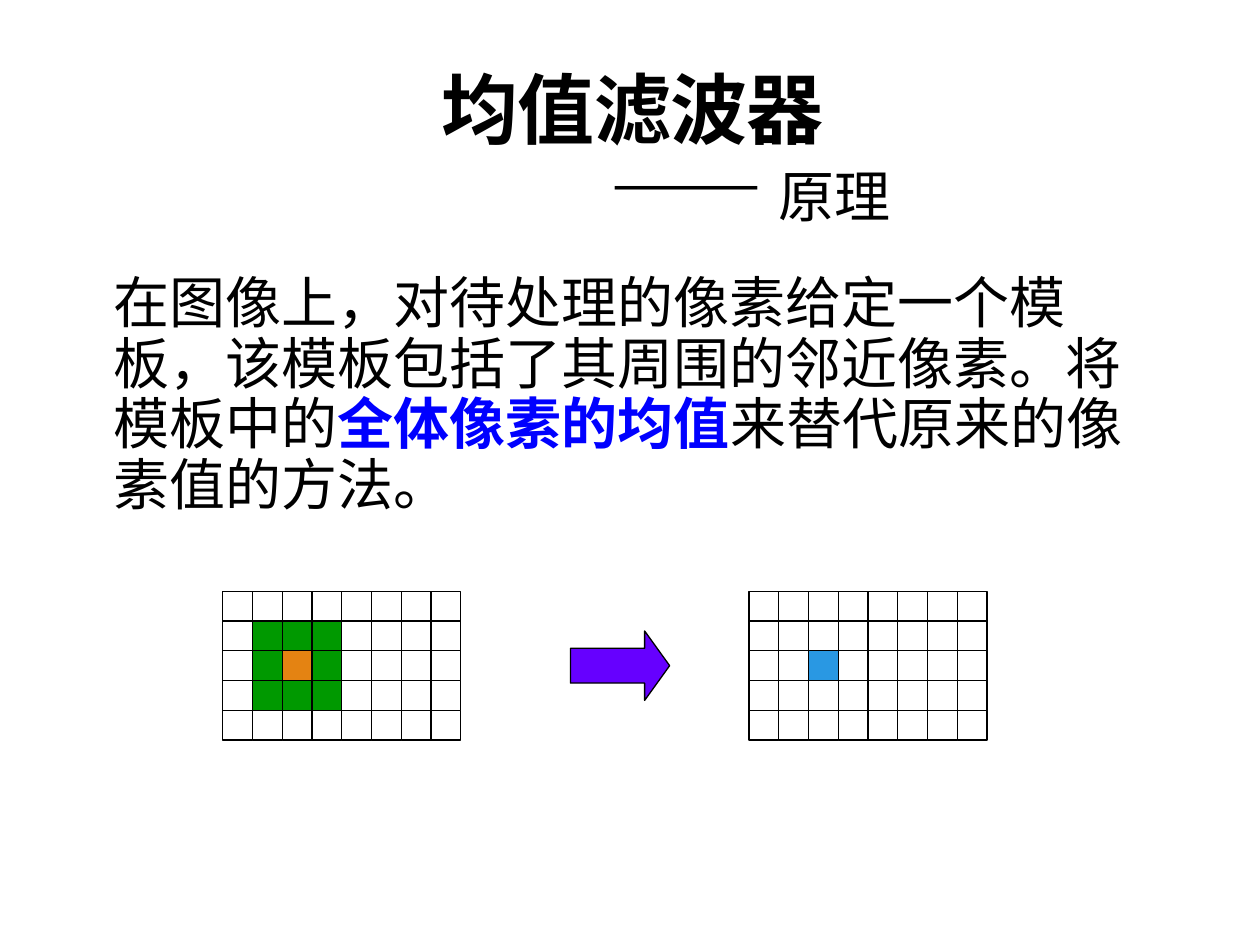
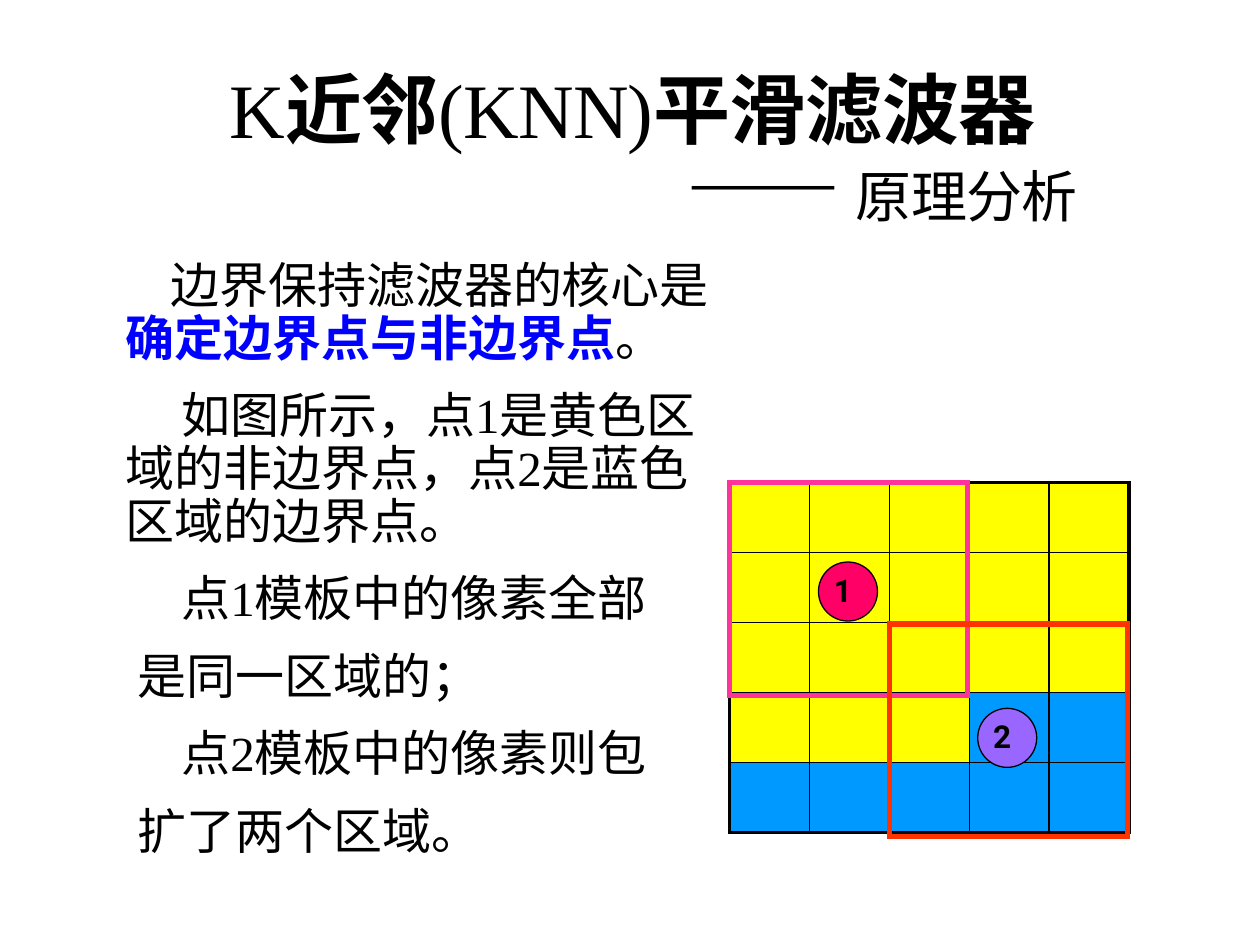
import itertools

import lxml.etree
import pptx
import pptx.dml.color
import pptx.enum.shapes
import pptx.enum.text
import pptx.oxml.ns
import pptx.util

Cm, Pt = pptx.util.Cm, pptx.util.Pt
RGB = pptx.dml.color.RGBColor
SHAPE = pptx.enum.shapes.MSO_SHAPE
ALIGN = pptx.enum.text.PP_ALIGN
ANCHOR = pptx.enum.text.MSO_ANCHOR
qualified = pptx.oxml.ns.qn

BLACK = RGB(0x00, 0x00, 0x00)
WHITE = RGB(0xFF, 0xFF, 0xFF)
KEY_BLUE = RGB(0x00, 0x00, 0xFF)
GREEN = RGB(0x00, 0x99, 0x00)
ORANGE = RGB(0xE4, 0x83, 0x12)
RESULT_BLUE = RGB(0x29, 0x98, 0xE3)
ARROW_PURPLE = RGB(0x66, 0x00, 0xFF)
YELLOW = RGB(0xFF, 0xFF, 0x00)
SKY = RGB(0x00, 0x99, 0xFF)
PINK = RGB(0xFF, 0x00, 0x66)
LILAC = RGB(0x99, 0x66, 0xFF)
MAGENTA = RGB(0xFF, 0x33, 0x99)
RED = RGB(0xFF, 0x33, 0x00)

# Run formats
SERIF = {"name": "Times New Roman"}
TITLE = {**SERIF, "size": Pt(44), "bold": True}
TITLE_LATIN = {**TITLE, "bold": False}
SUBTITLE = {**SERIF, "size": Pt(32), "bold": False}
BODY_LARGE = {**SERIF, "size": Pt(32)}
BODY_SMALL = {**SERIF, "size": Pt(28)}
KEY = {"bold": True, "color": KEY_BLUE}
MARK = {"name": "Roboto", "size": Pt(18), "bold": True}

# Boxes are left, top, width, height in cm
TITLE_BOX = (2.28, 0.79, 20.95, 4.04)
BODY_INSETS = (0, 0.13, 0, 0.13)
TEXT_INSETS = (0.25, 0.13, 0.25, 0.13)

MEAN = {
    "title": [("均值滤波器", TITLE)],
    "subtitle": "原理",
    "subtitle_indent": 9.75,
    "body_box": (2.29, 5.42, 20.95, 5.79),
    "body_indent": 0,
    "body": [
        (0, [("在图像上，对待处理的像素给定一个模板，该模板包括了其周围的邻近像素。将模板中的", BODY_LARGE),
             ("全体像素的均值", {**BODY_LARGE, **KEY}),
             ("来替代原来的像素值的方法。", BODY_LARGE)]),
    ],
}
KNN = {
    "title": [("K", TITLE_LATIN), ("近邻", TITLE), ("(KNN)", TITLE_LATIN), ("平滑滤波器", TITLE)],
    "subtitle": "原理分析",
    "subtitle_indent": 11.3,
    "body_box": (2.29, 5.13, 12.17, 11.18),
    "body_indent": 0.25,
    "body": [
        (0.9, [("边界保持滤波器的核心是", BODY_SMALL),
               ("确定边界点与非边界点", {**BODY_SMALL, **KEY}),
               ("。", BODY_SMALL)]),
        (1.12, [("如图所示，点1是黄色区域的非边界点，点2是蓝色区域的边界点。", BODY_SMALL)]),
        (1.12, [("点1模板中的像素全部", BODY_SMALL)]),
        (0.24, [("是同一区域的；", BODY_SMALL)]),
        (1.12, [("点2模板中的像素则包", BODY_SMALL)]),
        (0.24, [("扩了两个区域。", BODY_SMALL)]),
    ],
}

# Pixel grids: one letter per pixel
PIXEL_COLOURS = {".": WHITE, "g": GREEN, "o": ORANGE, "b": RESULT_BLUE, "y": YELLOW, "s": SKY}
PIXEL = 0.6
PIXELS_TOP = 11.92
BEFORE = (4.49, ["........", ".ggg....", ".gog....", ".ggg....", "........"])
AFTER = (15.1, ["........", "........", "..b.....", "........", "........"])
ARROW_BOX = (11.5, 12.72, 2.0, 1.4)

REGIONS = ["yyyyy", "yyyyy", "yyyyy", "yyyss", "sssss"]
REGIONS_LEFT, REGIONS_TOP = 14.71, 9.73
REGION_WIDTH, REGION_HEIGHT = 1.61, 1.41
POINTS = [("1", 16.5, 11.33, PINK), ("2", 19.71, 14.28, LILAC)]
POINT_SIZE = 1.19
TEMPLATES = [(14.71, 9.73, MAGENTA), (17.93, 12.58, RED)]
TEMPLATE_SIZE = (4.8, 4.29)


def set_attributes(target, values):
    for name, value in values.items():
        setattr(target, name, value)


def add_span(para, text, style):
    span = para.add_run()
    span.text = text
    style = {"color": BLACK, **style}
    span.font.color.rgb = style.pop("color")
    set_attributes(span.font, style)
    return span


def add_text_box(page, place, insets, anchor=ANCHOR.TOP):
    frame = page.shapes.add_textbox(*map(Cm, place)).text_frame
    margins = zip(("margin_left", "margin_top", "margin_right", "margin_bottom"), map(Cm, insets))
    set_attributes(frame, {"word_wrap": True, "vertical_anchor": anchor, **dict(margins)})
    return frame


def indent(para, left, first_line=0):
    """Set the indents and keep punctuation inside the right margin."""
    properties = para._p.get_or_add_pPr()
    properties.set("marL", str(Cm(left)))
    properties.set("indent", str(Cm(first_line)))
    properties.set("hangingPunct", "0")


def add_shape(page, kind, place, fill=None, line=BLACK, weight=0.75):
    shape = page.shapes.add_shape(kind, *map(Cm, place))
    shape.shadow.inherit = False
    if fill is None:
        shape.fill.background()
    else:
        shape.fill.solid()
        shape.fill.fore_color.rgb = fill
    shape.line.color.rgb = line
    shape.line.width = Pt(weight)
    return shape


def add_title(page, content):
    frame = add_text_box(page, TITLE_BOX, TEXT_INSETS, ANCHOR.BOTTOM)
    heading, subtitle = frame.paragraphs[0], frame.add_paragraph()
    set_attributes(heading, {"alignment": ALIGN.CENTER, "line_spacing": 0.85})
    set_attributes(subtitle, {"alignment": ALIGN.LEFT, "line_spacing": 0.85})
    indent(subtitle, content["subtitle_indent"])
    spans = [add_span(heading, *part) for part in content["title"]]
    spans += [add_span(subtitle, "—— ", TITLE), add_span(subtitle, content["subtitle"], SUBTITLE)]
    for span in spans:
        span._r.get_or_add_rPr().set("spc", "-50")


def add_body(page, content):
    frame = add_text_box(page, content["body_box"], BODY_INSETS)
    for number, (first_line, parts) in enumerate(content["body"]):
        para = frame.add_paragraph() if number else frame.paragraphs[0]
        set_attributes(para, {"line_spacing": 0.9, "space_after": Pt(2),
                              "space_before": Pt(12 if number else 0)})
        indent(para, content["body_indent"], first_line)
        for part in parts:
            add_span(para, *part)


def add_pixels(page, left, rows):
    for row, letters in enumerate(rows):
        for column, letter in enumerate(letters):
            place = (left + column * PIXEL, PIXELS_TOP + row * PIXEL, PIXEL, PIXEL)
            add_shape(page, SHAPE.RECTANGLE, place, PIXEL_COLOURS[letter])


def make_border(side, weight):
    border = lxml.etree.Element(qualified(f"a:ln{side}"), w=str(Pt(weight)))
    fill = lxml.etree.SubElement(border, qualified("a:solidFill"))
    lxml.etree.SubElement(fill, qualified("a:srgbClr"), val=str(BLACK))
    return border


def add_regions(page):
    rows, columns = len(REGIONS), len(REGIONS[0])
    place = (REGIONS_LEFT, REGIONS_TOP, columns * REGION_WIDTH, rows * REGION_HEIGHT)
    table = page.shapes.add_table(rows, columns, *map(Cm, place)).table
    set_attributes(table, {"first_row": False, "horz_banding": False})
    for row, column in itertools.product(range(rows), range(columns)):
        cell = table.cell(row, column)
        cell.fill.solid()
        cell.fill.fore_color.rgb = PIXEL_COLOURS[REGIONS[row][column]]
        outer = {"L": column == 0, "R": column == columns - 1, "T": row == 0, "B": row == rows - 1}
        for position, (side, is_outer) in enumerate(outer.items()):
            border = make_border(side, 2.25 if is_outer else 1)
            cell._tc.get_or_add_tcPr().insert(position, border)


def add_points(page):
    for label, left, top, fill in POINTS:
        add_shape(page, SHAPE.OVAL, (left, top, POINT_SIZE, POINT_SIZE), fill)
        frame = add_text_box(page, (left + 0.06, top + 0.05, 1.2, 1.02), TEXT_INSETS)
        add_span(frame.paragraphs[0], label, MARK)


def add_templates(page):
    for left, top, colour in TEMPLATES:
        place = (left, top, *TEMPLATE_SIZE)
        square = add_shape(page, SHAPE.RECTANGLE, place, line=colour, weight=3)
        outline = square.line._get_or_add_ln()
        lxml.etree.SubElement(outline, qualified("a:miter"), lim="800000")


def add_page(deck, content):
    page = deck.slides.add_slide(deck.slide_layouts[6])
    add_title(page, content)
    add_body(page, content)
    return page


def main():
    deck = pptx.Presentation()
    set_attributes(deck, {"slide_width": Cm(25.4), "slide_height": Cm(19.05)})

    page = add_page(deck, MEAN)
    add_pixels(page, *BEFORE)
    arrow = add_shape(page, SHAPE.RIGHT_ARROW, ARROW_BOX, ARROW_PURPLE)
    arrow.adjustments[1] = 0.36
    add_pixels(page, *AFTER)

    page = add_page(deck, KNN)
    add_regions(page)
    add_points(page)
    add_templates(page)

    deck.save("out.pptx")


if __name__ == "__main__":
    main()
